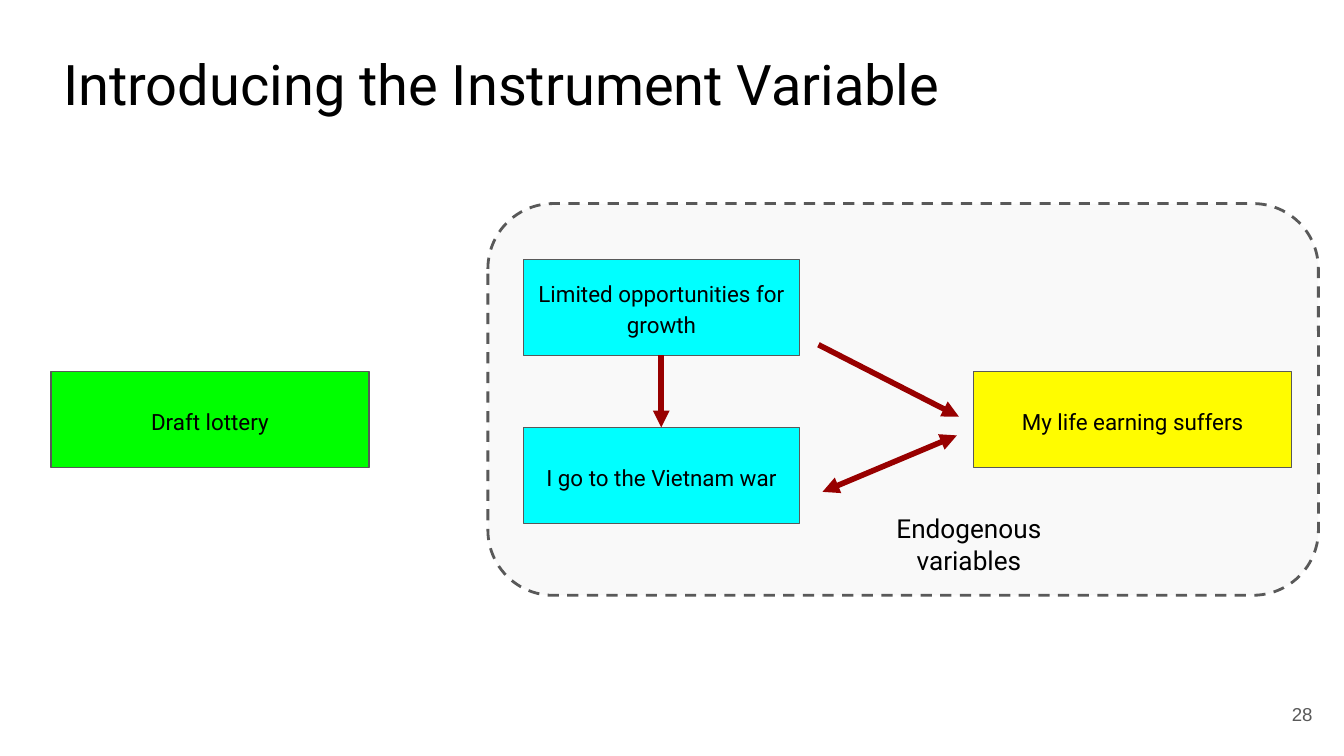
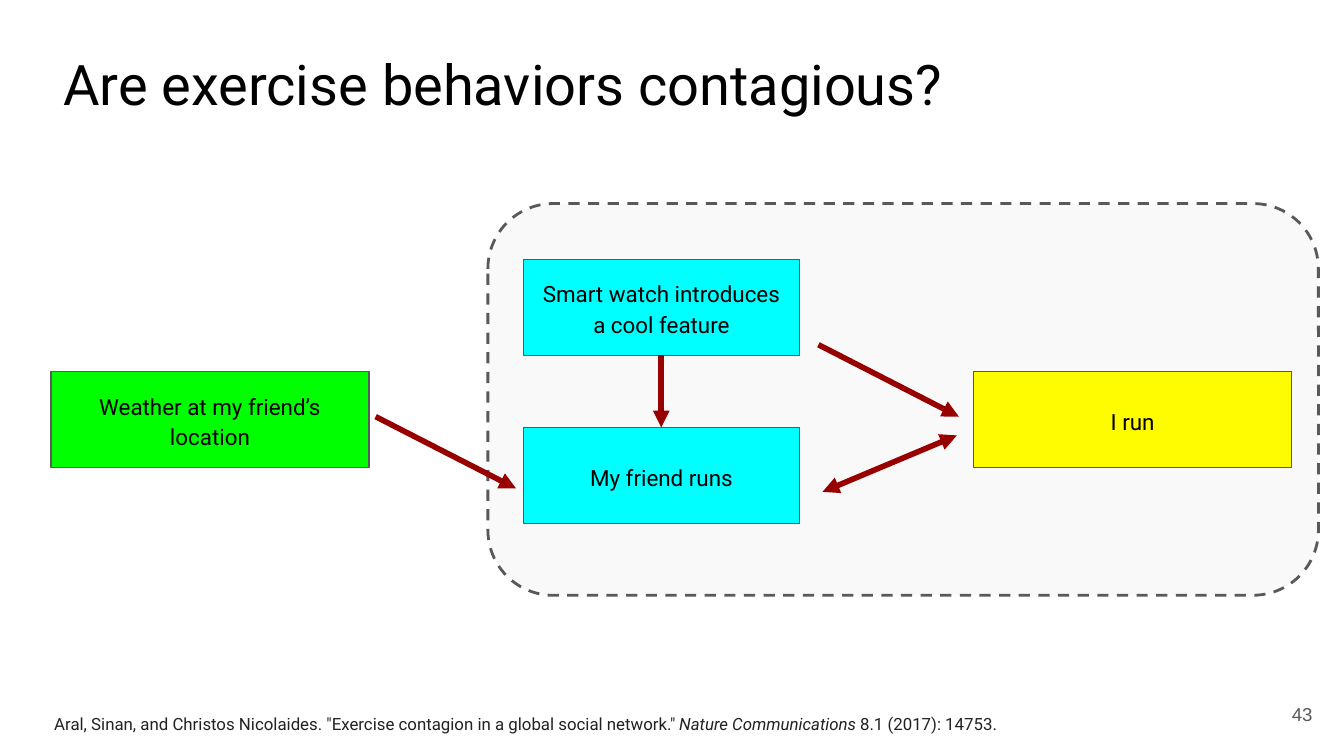
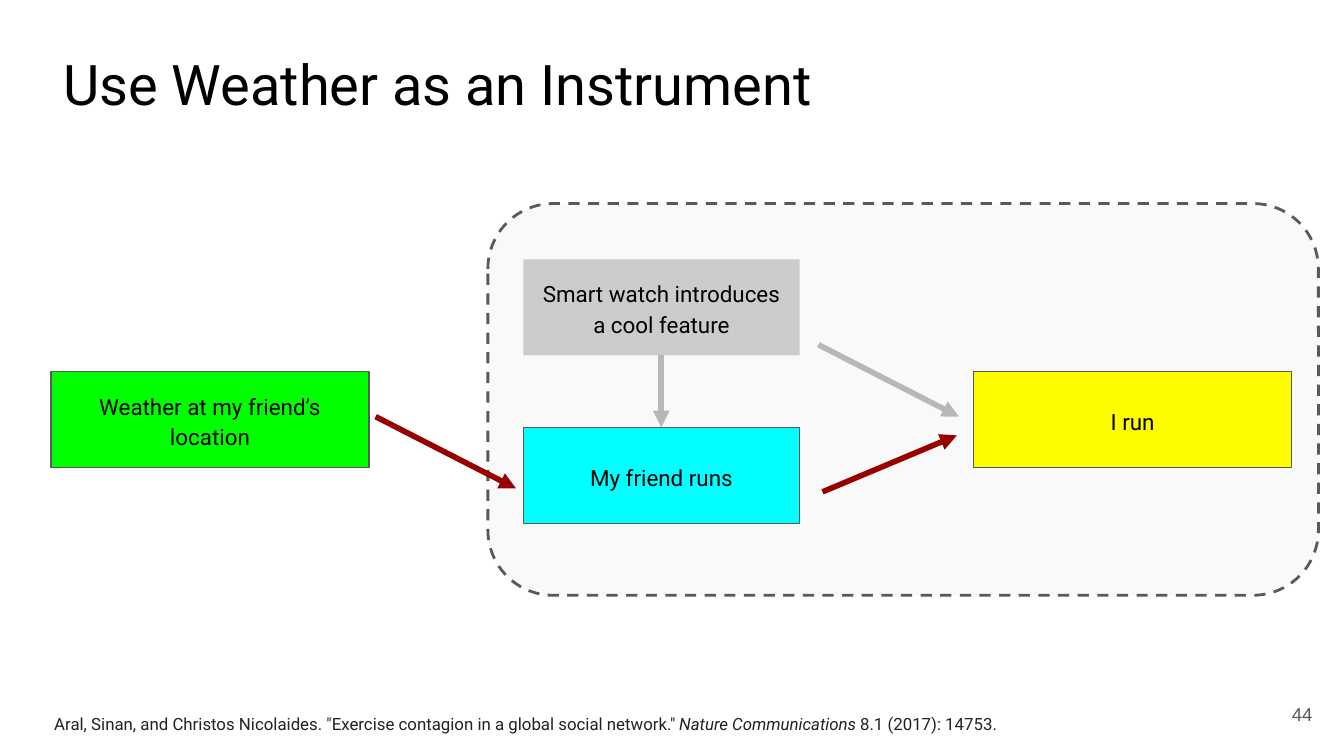
from dataclasses import dataclass

from lxml.etree import SubElement as Sub
from pptx import Presentation
from pptx.dml.color import RGBColor as Rgb
from pptx.enum.dml import MSO_LINE as Dash
from pptx.enum.shapes import MSO_CONNECTOR as Link, MSO_SHAPE as Kind
from pptx.enum.text import MSO_ANCHOR as Anchor, MSO_AUTO_SIZE as Fit, PP_ALIGN as Align
from pptx.oxml.ns import qn
from pptx.util import Pt

PX = 4572  # 200 px to the inch
SIZE = 2000, 1125


def emu(area):
    return [n * PX for n in area]


@dataclass(frozen=True)
class Theme:
    font: str = "Roboto"
    num_font: str = "Arial"
    ink: str = "000000"
    cite_ink: str = "222222"
    edge: str = "595959"
    zone: str = "EFEFEF"
    tool: str = "00FF00"
    cause: str = "00FFFF"
    result: str = "FFFC00"
    muted: str = "CCCCCC"
    arrow: str = "980000"
    faint: str = "B7B7B7"
    title_pt: int = 30
    note_pt: int = 14
    box_pt: int = 12
    num_pt: int = 10
    cite_pt: int = 9


class Deck:
    def __init__(self, theme):
        self.theme = theme
        self.prs = Presentation()
        self.prs.slide_width, self.prs.slide_height = emu(SIZE)

    def format(self, shape, size, color=None, font=None, align=Align.LEFT,
               anchor=Anchor.TOP, inset=20, space=None):
        """Style the frame and every run of a shape's text."""
        frame = shape.text_frame
        frame.word_wrap, frame.auto_size = True, Fit.NONE
        frame.vertical_anchor = anchor
        frame.margin_left = frame.margin_right = inset * PX
        frame.margin_top = frame.margin_bottom = inset * PX
        for para in frame.paragraphs:
            para.alignment = align
            para.line_spacing = space
            for run in para.runs:
                run.font.name = font or self.theme.font
                run.font.size = Pt(size)
                run.font.color.rgb = Rgb.from_string(color or self.theme.ink)

    def slide(self, title, num):
        t = self.theme
        self.page = self.prs.slides.add_slide(self.prs.slide_layouts[5])
        head = self.page.shapes.title
        head.left, head.top, head.width, head.height = emu((94, 93, 1900, 108))
        head.text_frame.text = title
        self.format(head, t.title_pt, inset=0, space=0.8)
        self.text((1853, 1020, 120, 86), str(num), t.num_pt, color=t.edge,
                  font=t.num_font, align=Align.RIGHT, anchor=Anchor.MIDDLE)

    def text(self, area, words, size, **style):
        box = self.page.shapes.add_textbox(*emu(area))
        box.text_frame.text = words
        self.format(box, size, **style)

    def cite(self, parts):
        """Place a reference whose odd parts are italic."""
        t = self.theme
        box = self.page.shapes.add_textbox(*emu((61, 1042, 1528, 42)))
        para = box.text_frame.paragraphs[0]
        for i, part in enumerate(parts):
            run = para.add_run()
            run.text = part
            run.font.italic = i % 2 == 1
        self.format(box, t.cite_pt, color=t.cite_ink)

    def shape(self, kind, area, fill, width):
        item = self.page.shapes.add_shape(kind, *emu(area))
        item.shadow.inherit = False
        item.fill.solid()
        item.fill.fore_color.rgb = Rgb.from_string(fill)
        if width:
            item.line.color.rgb = Rgb.from_string(self.theme.edge)
            item.line.width = Pt(width)
        else:
            item.line.fill.background()
        return item

    def zone(self, area):
        """Draw the dashed, see-through frame."""
        item = self.shape(Kind.ROUNDED_RECTANGLE, area, self.theme.zone, 1.5)
        item.line.dash_style = Dash.DASH
        tint = item._element.spPr.find(qn("a:solidFill"))[0]
        Sub(tint, qn("a:alpha"), val="33000")

    def box(self, area, words, fill, width=0.75):
        item = self.shape(Kind.RECTANGLE, area, fill, width)
        item.text_frame.text = words
        self.format(item, self.theme.box_pt, align=Align.CENTER,
                    anchor=Anchor.MIDDLE, space=1.15)

    def arrow(self, ends, color, both=False):
        item = self.page.shapes.add_connector(Link.STRAIGHT, *emu(ends))
        item.line.color.rgb = Rgb.from_string(color)
        item.line.width = Pt(3)
        props = item._element.spPr
        line = props.find(qn("a:ln"))
        for tip in ("headEnd", "tailEnd") if both else ("tailEnd",):
            Sub(line, qn("a:" + tip), type="triangle")
        Sub(props, qn("a:effectLst"))


def draw(deck, tool, factor, cause, result, linked=True, blocked=False):
    """Draw the causal diagram; a blocked factor is greyed out."""
    t = deck.theme
    tall, wide, slim = 143, 473, 411
    left, mid, right = 76, 779, 1449
    top, low, side = 386, 636, 553
    link = t.faint if blocked else t.arrow
    axis = mid + slim // 2
    deck.zone((726, 303, 1236, 583))
    deck.box((right, side, wide, tall), result, t.result)
    deck.box((mid, low, slim, tall), cause, t.cause)
    deck.arrow((1218, 513, 1427, 620), link)
    deck.box((mid, top, slim, tall), factor, t.muted if blocked else t.cause,
             0 if blocked else 0.75)
    deck.arrow((axis, top + tall, axis, low), link)
    deck.arrow((1224, 732, 1424, 648), t.arrow, both=not blocked)
    deck.box((left, side, wide, tall), tool, t.tool)
    if linked:
        deck.arrow((559, 620, 768, 727), t.arrow)


def main():
    theme = Theme()
    deck = Deck(theme)
    deck.slide("Introducing the Instrument Variable", 28)
    draw(deck, "Draft lottery", "Limited opportunities for growth",
         "I go to the Vietnam war", "My life earning suffers", linked=False)
    deck.text((1269, 743, 346, 144), "Endogenous variables", theme.note_pt,
              align=Align.CENTER)

    runs = ("Weather at my friend’s location", "Smart watch introduces a cool feature",
            "My friend runs", "I run")
    source = ('Aral, Sinan, and Christos Nicolaides. "Exercise contagion in a '
              'global social network." ', "Nature Communications", " 8.1 (2017): 14753.")
    for title, num, blocked in (("Are exercise behaviors contagious?", 43, False),
                                ("Use Weather as an Instrument", 44, True)):
        deck.slide(title, num)
        draw(deck, *runs, blocked=blocked)
        deck.cite(source)
    deck.prs.save("out.pptx")


if __name__ == "__main__":
    main()
